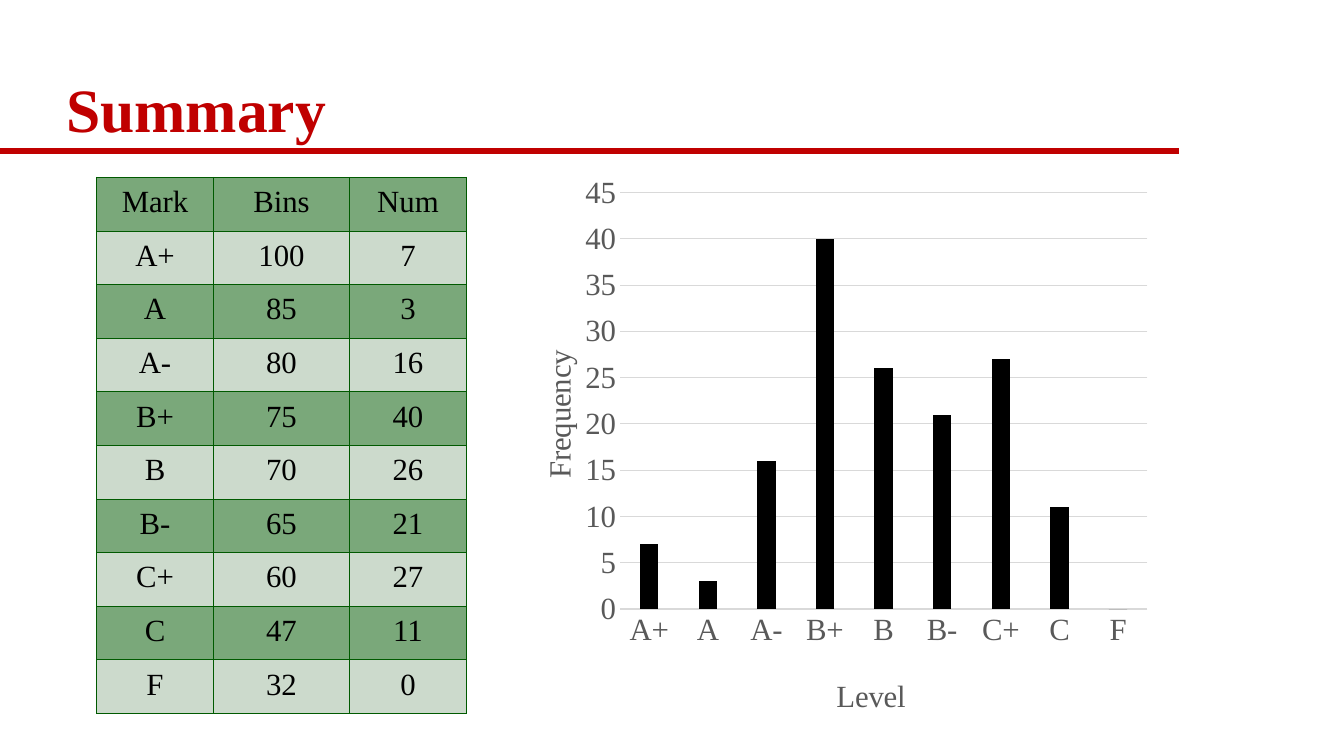
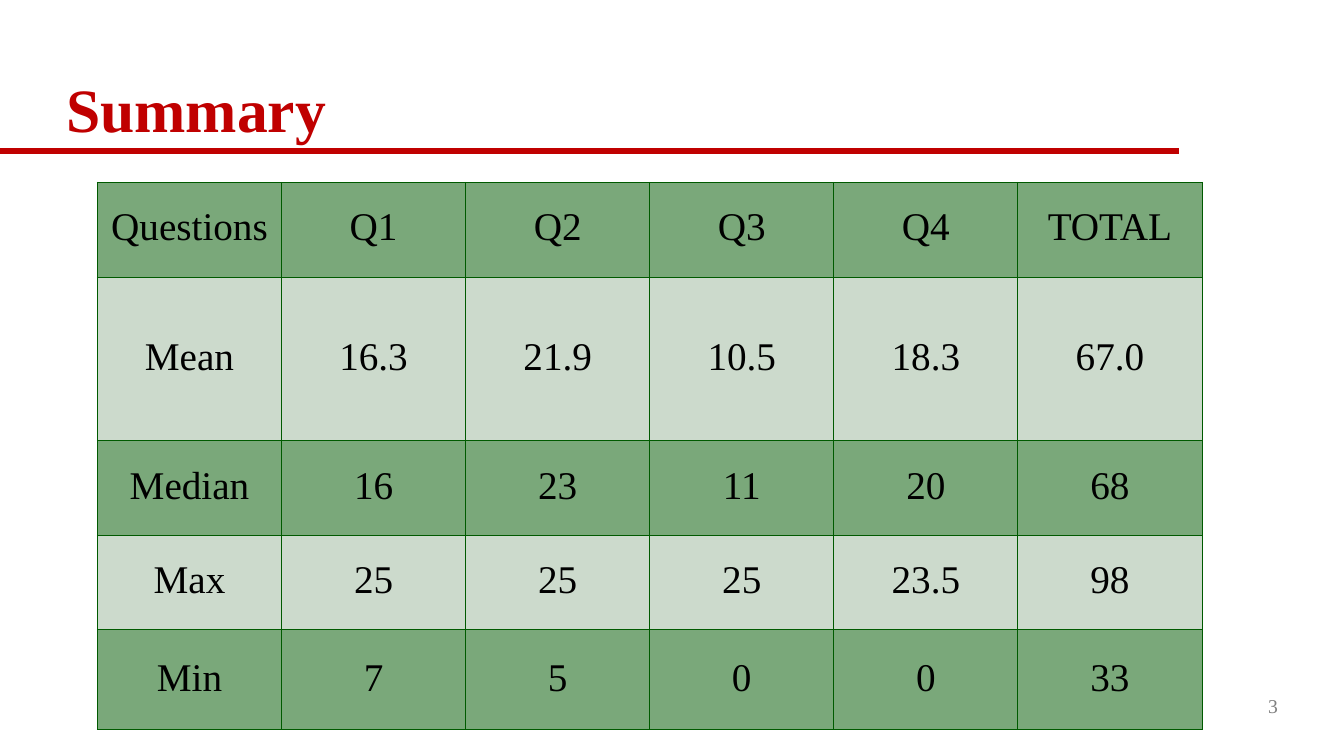
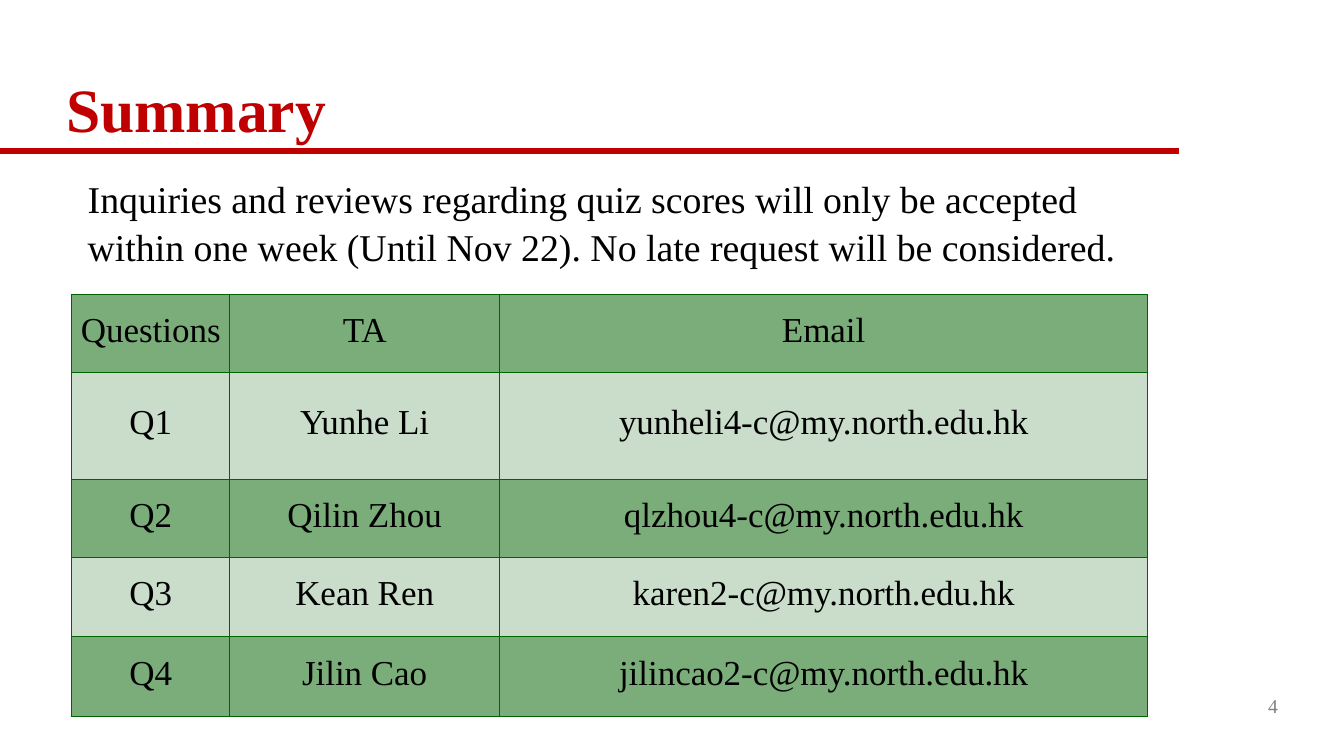
from lxml import etree
from pptx import Presentation
from pptx.chart.data import CategoryChartData
from pptx.dml.color import RGBColor
from pptx.enum.chart import XL_CHART_TYPE, XL_TICK_MARK
from pptx.enum.shapes import MSO_CONNECTOR
from pptx.enum.text import MSO_ANCHOR, MSO_AUTO_SIZE, PP_ALIGN
from pptx.oxml.ns import qn
from pptx.util import Pt

COLUMNS = XL_CHART_TYPE.COLUMN_CLUSTERED
NO_TICK = XL_TICK_MARK.NONE
STRAIGHT = MSO_CONNECTOR.STRAIGHT
MIDDLE, BOTTOM = MSO_ANCHOR.MIDDLE, MSO_ANCHOR.BOTTOM
LEFT, CENTER, RIGHT = PP_ALIGN.LEFT, PP_ALIGN.CENTER, PP_ALIGN.RIGHT
FIXED = MSO_AUTO_SIZE.NONE

FONT = "Times New Roman"
RED, BLACK, GREY = "C00000", "000000", "808080"
AXIS_TEXT, GRID = "595959", "D9D9D9"
# Dark band, light band, border
GREEN = ("7AA87A", "CCDACC", "005A00")
BRIGHT_GREEN = ("7AAD7A", "CADDCA", "006400")

GRADES = [
    ("Mark", "Bins", "Num"),
    ("A+", "100", "7"),
    ("A", "85", "3"),
    ("A-", "80", "16"),
    ("B+", "75", "40"),
    ("B", "70", "26"),
    ("B-", "65", "21"),
    ("C+", "60", "27"),
    ("C", "47", "11"),
    ("F", "32", "0"),
]
STATISTICS = [
    ("Questions", "Q1", "Q2", "Q3", "Q4", "TOTAL"),
    ("Mean", "16.3", "21.9", "10.5", "18.3", "67.0"),
    ("Median", "16", "23", "11", "20", "68"),
    ("Max", "25", "25", "25", "23.5", "98"),
    ("Min", "7", "5", "0", "0", "33"),
]
CONTACTS = [
    ("Questions", "TA", "Email"),
    ("Q1", "Yunhe Li", "yunheli4-c@my.north.edu.hk"),
    ("Q2", "Qilin Zhou", "qlzhou4-c@my.north.edu.hk"),
    ("Q3", "Kean Ren", "karen2-c@my.north.edu.hk"),
    ("Q4", "Jilin Cao", "jilincao2-c@my.north.edu.hk"),
]
NOTICE = ("Inquiries and reviews regarding quiz scores will only be accepted "
          "within one week\u00a0(Until Nov 22). No late request will be considered.")


def rgb(color):
    return RGBColor.from_string(color)


def style_font(font, size, color, bold=False):
    font.name = FONT
    font.size = Pt(size)
    font.bold = bold
    font.color.rgb = rgb(color)


def write(tf, text, size, color, align=LEFT, bold=False, spacing=None):
    tf.text = text
    p = tf.paragraphs[0]
    p.alignment = align
    p.line_spacing = spacing
    style_font(p.runs[0].font, size, color, bold)


def prepare_layout(prs):
    """Place the title and the red rule on the layout that all slides use."""
    layout = prs.slide_layouts.get_by_name("Title Only")
    title = layout.placeholders[0]
    title.left, title.top, title.width, title.height = Pt(40), Pt(21), Pt(876), Pt(87)
    title.text_frame.vertical_anchor = BOTTOM
    return layout


def add_rule(slide, layout):
    """Draw the red rule and move it to the layout."""
    line = slide.shapes.add_connector(STRAIGHT, 0, Pt(108), Pt(842.4), Pt(108))
    line.line.color.rgb = rgb(RED)
    line.line.width = Pt(4)
    etree.SubElement(line.element.spPr, qn("a:effectLst"))
    layout.shapes.element.append(line.element)


def add_slide(prs, layout, title):
    slide = prs.slides.add_slide(layout)
    tf = slide.shapes.title.text_frame
    tf.auto_size = FIXED
    tf.vertical_anchor = BOTTOM
    write(tf, title, 44, RED, bold=True, spacing=0.9)
    return slide


def add_text(slide, left, top, width, height, text, size, color, **options):
    tf = slide.shapes.add_textbox(Pt(left), Pt(top), Pt(width), Pt(height)).text_frame
    tf.word_wrap = True
    write(tf, text, size, color, **options)
    return tf


def add_slide_number(slide, number):
    tf = add_text(slide, 720, 486, 200, 36, str(number), 14, GREY, align=RIGHT)
    tf.vertical_anchor = MIDDLE


def set_borders(cell, color):
    tc_pr = cell._tc.get_or_add_tcPr()
    for i, side in enumerate(("lnL", "lnR", "lnT", "lnB")):
        ln = etree.Element(qn(f"a:{side}"), w=str(Pt(0.75)))
        fill = etree.SubElement(ln, qn("a:solidFill"))
        etree.SubElement(fill, qn("a:srgbClr"), val=color)
        tc_pr.insert(i, ln)


def add_table(slide, left, top, widths, heights, rows, size, colors, spacing=None):
    """Add a table with alternating dark and light rows."""
    dark, light, border = colors
    table = slide.shapes.add_table(len(rows), len(widths), Pt(left), Pt(top),
                                   Pt(sum(widths)), Pt(sum(heights))).table
    for column, width in zip(table.columns, widths):
        column.width = Pt(width)
    for r, (values, height) in enumerate(zip(rows, heights)):
        table.rows[r].height = Pt(height)
        for c, value in enumerate(values):
            cell = table.cell(r, c)
            cell.margin_left = cell.margin_right = cell.margin_top = Pt(0.7)
            cell.margin_bottom = Pt(3.5)
            cell.vertical_anchor = MIDDLE
            cell.fill.solid()
            cell.fill.fore_color.rgb = rgb(light if r % 2 else dark)
            set_borders(cell, border)
            write(cell.text_frame, value, size, BLACK, align=CENTER, spacing=spacing)


def set_layout(parent, index, inner=False, **fractions):
    """Place a chart part by fractions of the chart's size."""
    for old in parent.findall(qn("c:layout")):
        parent.remove(old)
    layout = etree.Element(qn("c:layout"))
    manual = etree.SubElement(layout, qn("c:manualLayout"))
    if inner:
        etree.SubElement(manual, qn("c:layoutTarget"), val="inner")
    for mode in ("xMode", "yMode"):
        etree.SubElement(manual, qn(f"c:{mode}"), val="edge")
    for name, value in fractions.items():
        etree.SubElement(manual, qn(f"c:{name}"), val=str(value))
    parent.insert(index, layout)


def style_axis(axis, title, x, y):
    axis.major_tick_mark = axis.minor_tick_mark = NO_TICK
    style_font(axis.tick_labels.font, 22, AXIS_TEXT)
    write(axis.axis_title.text_frame, title, 22, AXIS_TEXT, align=CENTER)
    set_layout(axis.axis_title.element, 1, x=x, y=y)


def style_line(line):
    line.color.rgb = rgb(GRID)
    line.width = Pt(0.75)


def add_grade_chart(slide, left, top, width, height):
    data = CategoryChartData()
    data.categories = [mark for mark, _, _ in GRADES[1:]]
    data.add_series("Series 1", [int(num) for _, _, num in GRADES[1:]])
    chart = slide.shapes.add_chart(COLUMNS, Pt(left), Pt(top), Pt(width),
                                   Pt(height), data).chart
    chart.has_legend = chart.has_title = False
    style_font(chart.font, 10, BLACK)

    plot = chart.plots[0]
    plot.gap_width, plot.overlap = 219, -27
    plot.vary_by_categories = False
    fill = plot.series[0].format.fill
    fill.solid()
    fill.fore_color.rgb = rgb(BLACK)

    level, frequency = chart.category_axis, chart.value_axis
    style_axis(level, "Level", 0.5, 0.9)
    style_line(level.format.line)
    style_axis(frequency, "Frequency", 0.05, 0.32)
    frequency.minimum_scale, frequency.maximum_scale = 0, 45
    frequency.major_unit = 5
    frequency.format.line.fill.background()
    style_line(frequency.major_gridlines.format.line)
    body = frequency.axis_title.element.find(".//" + qn("a:bodyPr"))
    body.set("rot", "-5400000")
    body.set("vert", "horz")
    plot_area = chart.element.find(".//" + qn("c:plotArea"))
    set_layout(plot_area, 0, inner=True, x=0.18, y=0.05, w=0.8, h=0.74)


def main():
    prs = Presentation()
    prs.slide_width, prs.slide_height = Pt(960), Pt(540)
    layout = prepare_layout(prs)
    grades, statistics, contacts = [add_slide(prs, layout, "Summary") for _ in range(3)]
    add_rule(grades, layout)

    add_table(grades, 69, 126.7, [83.5, 97.2, 83.5], [38.3] * len(GRADES),
              GRADES, 22, GREEN)
    add_grade_chart(grades, 358, 117.5, 471, 402)

    add_slide_number(statistics, 3)
    add_table(statistics, 69.6, 130.2, [131.5] * 6, [67.7, 116.7, 67.7, 67.7, 71.3],
              STATISTICS, 28, GREEN)

    add_slide_number(contacts, 4)
    add_table(contacts, 51.4, 210.2, [112.7, 192.8, 463], [56, 76.3, 56, 56, 57.6],
              CONTACTS, 25, BRIGHT_GREEN, spacing=Pt(26.2))
    add_text(contacts, 55.6, 119.5, 761, 116.6, NOTICE, 27, BLACK, spacing=1.07)

    prs.save("out.pptx")


if __name__ == "__main__":
    main()
